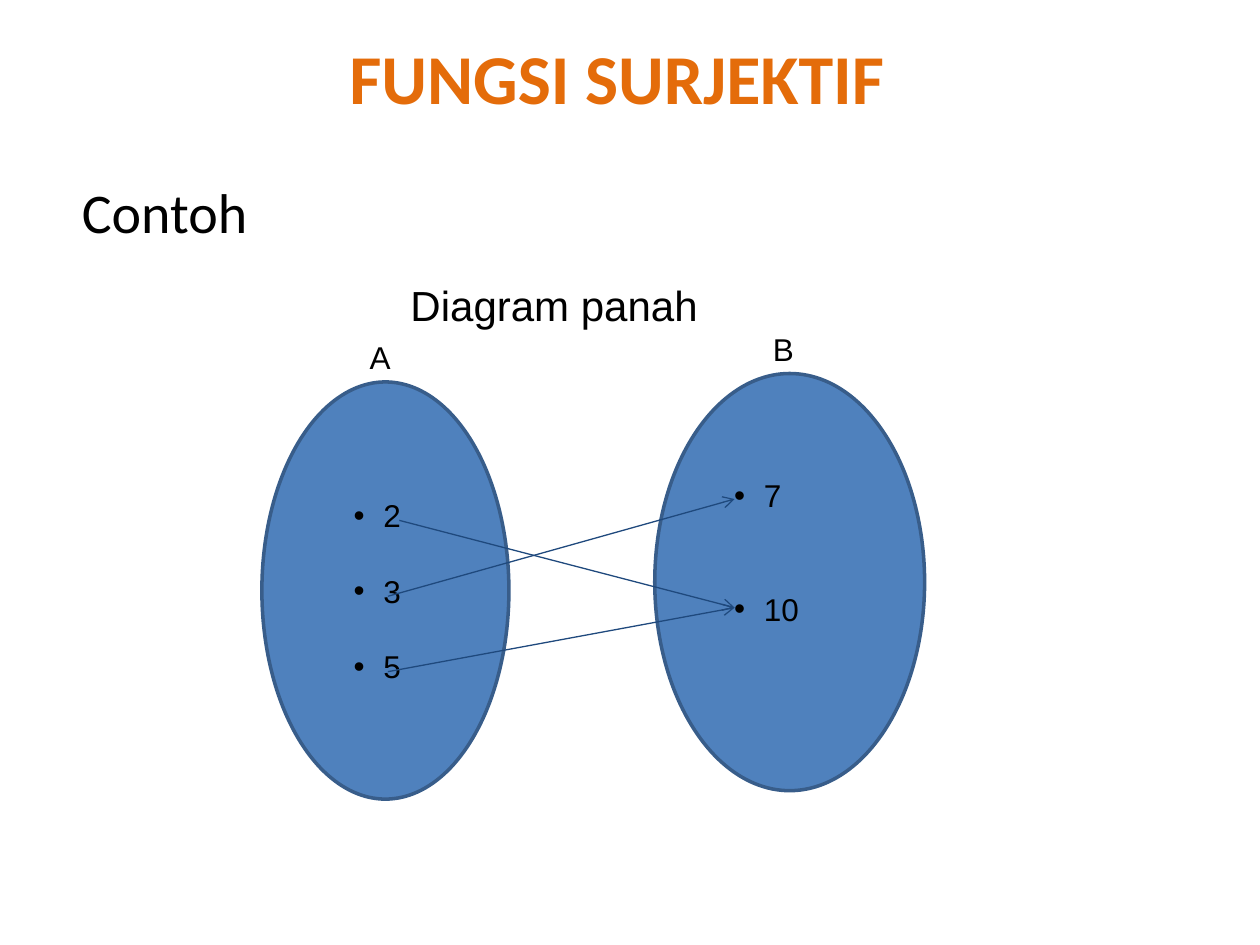
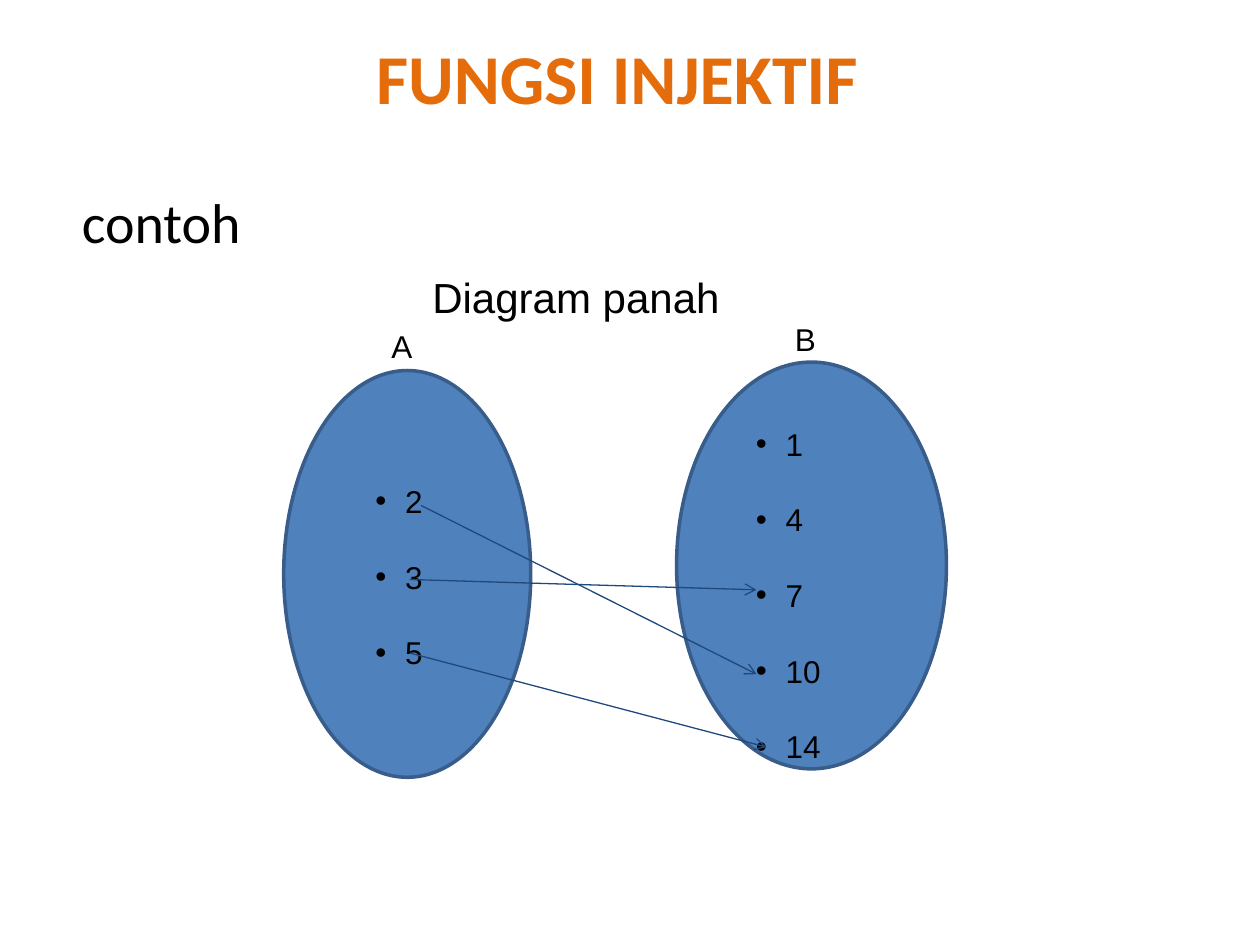
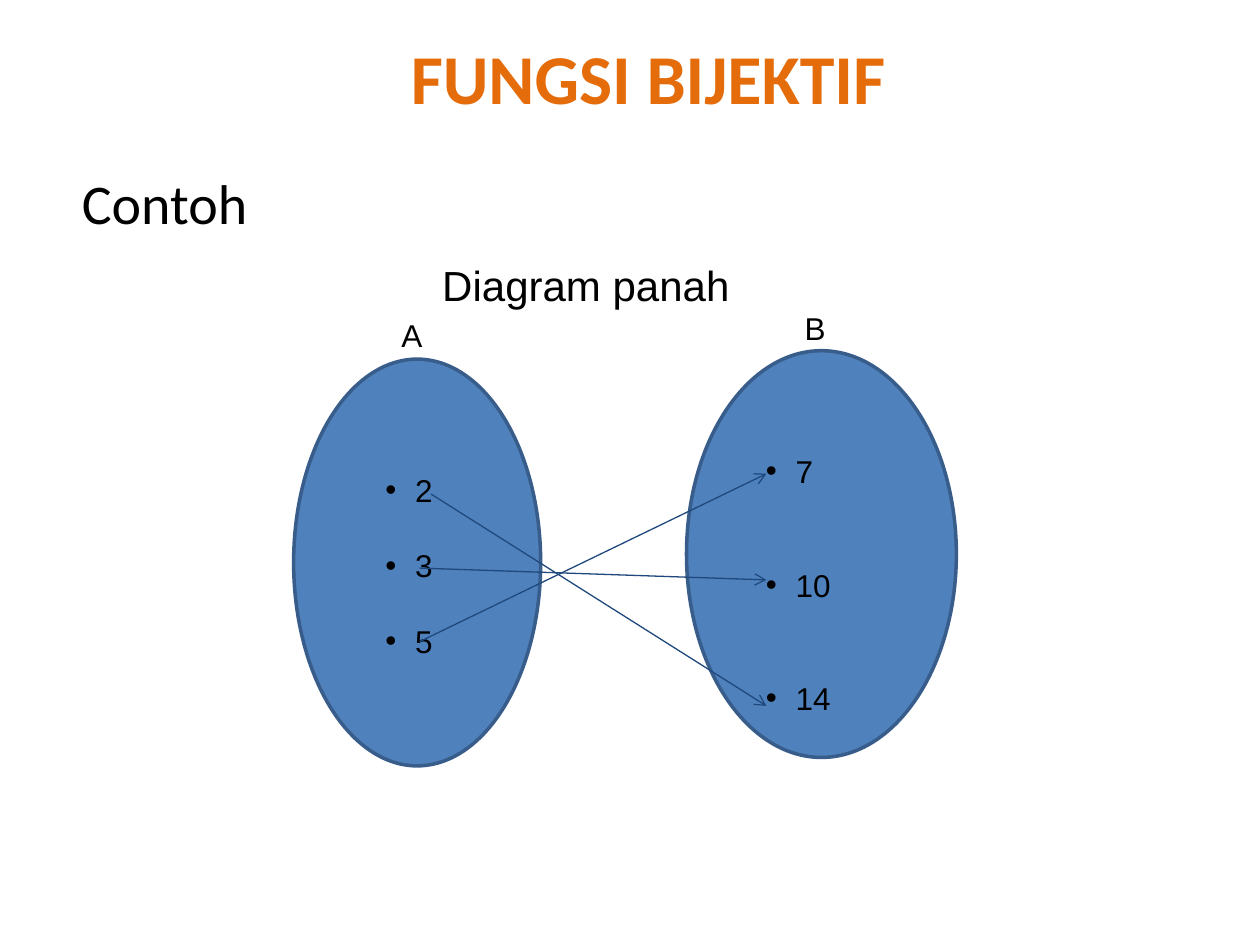
from dataclasses import dataclass

from pptx import Presentation
from pptx.dml.color import RGBColor
from pptx.enum.shapes import MSO_CONNECTOR as Connector, MSO_SHAPE as Shape
from pptx.enum.text import MSO_ANCHOR as Anchor, PP_ALIGN as Align
from pptx.oxml.ns import qn
from pptx.util import Cm, Pt
from lxml.etree import SubElement


@dataclass(frozen=True)
class Theme:
    title_color: str = "E46C0A"
    text_color: str = "000000"
    set_fill: str = "4F81BD"
    set_border: str = "385D8A"
    arrow_color: str = "1F497D"
    heading_font: str = "Calibri"
    diagram_font: str = "Arial"
    title_size: int = 40
    body_size: int = 32
    caption_size: int = 24
    label_size: int = 18
    line_factor: float = 1.2
    border_width: float = 2
    arrow_width: float = 0.75


@dataclass(frozen=True)
class Mapping:
    """One slide; lengths in centimetres, arrow ends relative to set A."""
    title: str
    title_left: float
    intro: str
    intro_top: float
    left: float
    top: float
    height: float
    codomain: tuple
    codomain_top: float
    blank_lines: int
    arrow_ends: tuple


MAPPINGS = (
    Mapping("FUNGSI SURJEKTIF", 1.07, "Contoh", 3.38, 5.28, 7.7, 8.41,
            ("7", "10"), 1.78, 2, ((9.53, 4.55), (9.53, 2.36), (9.53, 4.55))),
    Mapping("FUNGSI INJEKTIF", 1.07, "contoh", 3.58, 5.72, 7.47, 8.2,
            ("1", "4", "7", "10", "14"), 0.97, 1,
            ((9.53, 6.12), (9.53, 4.42), (9.73, 7.59))),
    Mapping("FUNGSI BIJEKTIF", 1.7, "Contoh", 3.2, 5.92, 7.24, 8.2,
            ("7", "10", "14"), 1.75, 2,
            ((9.53, 6.99), (9.53, 4.45), (9.53, 2.31))),
)
DOMAIN = ("2", "3", "5")
ARROW_STARTS = ((2.77, 2.79), (2.54, 4.32), (2.54, 5.84))
FULL_HEIGHT = 8.41  # the set height for which domain offsets are given


class Painter:
    def __init__(self, deck, theme):
        self.deck = deck
        self.theme = theme
        self.page = None

    def new_page(self):
        self.page = self.deck.slides.add_slide(self.deck.slide_layouts[6])

    def frame(self, left, top, width, height, wrap=True):
        box = self.page.shapes.add_textbox(Cm(left), Cm(top), Cm(width), Cm(height))
        box.text_frame.word_wrap = wrap
        return box.text_frame

    def add_span(self, para, text, size, font, color, bold=False):
        span = para.add_run()
        span.text = text
        span.font.size = Pt(size)
        span.font.name = font
        span.font.bold = bold
        span.font.color.rgb = RGBColor.from_string(color)

    def title(self, text, left):
        frame = self.frame(left, 0, 22.73, 2.92)
        frame.vertical_anchor = Anchor.MIDDLE
        frame.margin_top, frame.margin_bottom = Cm(0.3), Cm(0.13)
        para = frame.paragraphs[0]
        para.alignment = Align.CENTER
        theme = self.theme
        self.add_span(para, text, theme.title_size, theme.heading_font,
                      theme.title_color, bold=True)

    def intro(self, text, top):
        frame = self.frame(1.4, top, 22.73, 11.63)
        frame.margin_top = Cm(0.2)
        theme = self.theme
        self.add_span(frame.paragraphs[0], text, theme.body_size,
                      theme.heading_font, theme.text_color)

    def label(self, text, left, top, width, height, size, wrap=True):
        para = self.frame(left, top, width, height, wrap).paragraphs[0]
        para.alignment = Align.CENTER
        para.line_spacing = Pt(size * self.theme.line_factor)
        self.add_span(para, text, size, self.theme.diagram_font,
                      self.theme.text_color)

    def members(self, items, left, top, width, blank_lines):
        """Bulleted set members, separated by whole lines of space."""
        theme = self.theme
        line = Pt(theme.label_size * theme.line_factor)
        lines = len(items) + blank_lines * (len(items) - 1)
        frame = self.frame(left, top, width, round(lines * line.cm + 0.25, 2))
        frame.margin_right = 0
        for index, item in enumerate(items):
            para = frame.add_paragraph() if index else frame.paragraphs[0]
            self.add_bullet(para)
            para.line_spacing = line
            if index:
                para.space_before = Pt(line.pt * blank_lines)
            self.add_span(para, item, theme.label_size, theme.diagram_font,
                          theme.text_color)

    def add_bullet(self, para):
        props = para._p.get_or_add_pPr()
        props.set("marL", str(Cm(0.6)))
        props.set("indent", str(-Cm(0.6)))
        color = SubElement(props, qn("a:buClr"))
        SubElement(color, qn("a:srgbClr"), val=self.theme.text_color)
        SubElement(props, qn("a:buFont"), typeface=self.theme.diagram_font)
        SubElement(props, qn("a:buChar"), char="•")

    def ellipse(self, left, top, width, height):
        oval = self.page.shapes.add_shape(
            Shape.OVAL, Cm(left), Cm(top), Cm(width), Cm(height))
        oval.shadow.inherit = False
        oval.fill.solid()
        oval.fill.fore_color.rgb = RGBColor.from_string(self.theme.set_fill)
        oval.line.color.rgb = RGBColor.from_string(self.theme.set_border)
        oval.line.width = Pt(self.theme.border_width)

    def arrow(self, start, end):
        link = self.page.shapes.add_connector(
            Connector.STRAIGHT, *(Cm(value) for value in (*start, *end)))
        link.line.color.rgb = RGBColor.from_string(self.theme.arrow_color)
        link.line.width = Pt(self.theme.arrow_width)
        SubElement(link.line._get_or_add_ln(), qn("a:tailEnd"), type="arrow")
        SubElement(link._element.spPr, qn("a:effectLst"))


def draw_diagram(painter, mapping):
    left, top, height = mapping.left, mapping.top, mapping.height
    scale = height / FULL_HEIGHT
    theme = painter.theme
    painter.ellipse(left, top, 4.98, height)
    painter.ellipse(left + 7.92, top - 0.17, 5.44, height)
    painter.members(DOMAIN, left + 1.6, top + 2.18 * scale, 1.35, 1)
    painter.members(mapping.codomain, left + 9.27, top + mapping.codomain_top,
                    3.6, mapping.blank_lines)
    painter.label("Diagram panah", left + 2.74, top - 2.18 * scale, 6.3, 1.27,
                  theme.caption_size, wrap=False)
    for name, x, rise in (("A", 1.14, 1.02), ("B", 9.27, 1.17)):
        painter.label(name, left + x, top - rise * scale, 2.49, 1.02,
                      theme.label_size)
    for (start_x, start_y), (end_x, end_y) in zip(ARROW_STARTS, mapping.arrow_ends):
        painter.arrow((left + start_x, top + start_y * scale),
                      (left + end_x, top + end_y))


def main():
    deck = Presentation()
    deck.slide_width, deck.slide_height = Cm(25.4), Cm(19.05)
    painter = Painter(deck, Theme())
    for mapping in MAPPINGS:
        painter.new_page()
        painter.title(mapping.title, mapping.title_left)
        painter.intro(mapping.intro, mapping.intro_top)
        draw_diagram(painter, mapping)
    deck.save("out.pptx")


if __name__ == "__main__":
    main()
